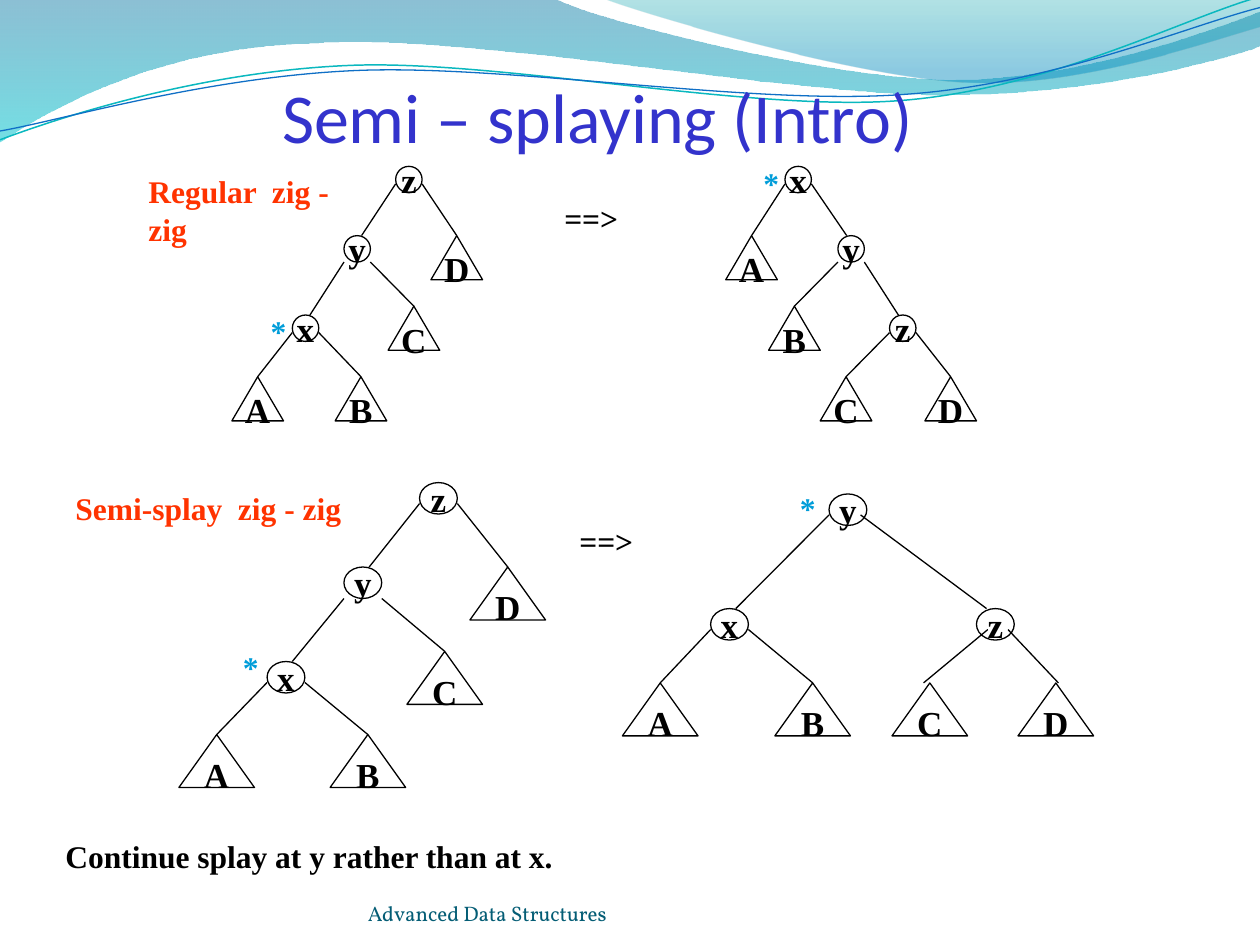
from lxml import etree
from pptx import Presentation, util as u
from pptx.dml.color import RGBColor
from pptx.enum import shapes, text
from pptx.oxml import ns

INK = dict(black="000000", title="3333CC", red="FF3300", star="009DD9",
           foot="045D75", teal="0AB8BF", blue="0F6FC6")
SERIF = "Times New Roman"

# Each outline is a start point, then steps: one point is a line, three a curve.
BANDS = [
    ([[(0, 0)], [(4.4, -.01)],
      [(4.76, .17), (6.64, .63), (7.58, .63)],
      [(8.53, .63), (9.58, .26), (10, .09)], [(10.01, .36)],
      [(9.83, .44), (8.7, .76), (7.46, .75)],
      [(6.22, .75), (3.82, .28), (2.57, .34)],
      [(1.29, .36), (.46, .83), (-.01, 1.13)], [(0, 0)]],
     [(0, "0074A1", 45), (100, "00C6CF", 55)]),
    ([[(4.79, -.01)],
      [(5.09, .11), (6.82, .62), (7.69, .65)],
      [(8.56, .69), (9.61, .32), (10, .21)], [(10, 0)], [(4.79, -.01)]],
     [(0, "00A1A9", 30), (80, "008BBF", 45)]),
]
WAVES = [
    ([[(0, 1.11)],
      [(.48, .93), (1.58, .57), (2.77, .52)],
      [(3.95, .47), (5.93, .89), (7.13, .8)],
      [(8.33, .71), (9.38, .15), (9.98, -.02)]], "teal", .85),
    ([[(0, 1.04)],
      [(.47, .96), (1.64, .61), (2.83, .56)],
      [(4.03, .51), (5.97, .84), (7.17, .75)],
      [(8.36, .67), (9.41, .21), (10, .06)]], "blue", .75),
]

SMALL = dict(node=(.21, .21), leaf=(.41, .35))
LARGE = dict(node=(.3, .25), leaf=(.6, .42))
# Node: name, left, top, parent and, if the edge is off the rule,
# the shifts of its start and end.
TREES = [
    (SMALL, [("z", 3.14, 1.32, ""), ("y", 2.73, 1.87, "z"),
             ("x", 2.32, 2.5, "y"), ("A", 1.84, 2.99, "x"),
             ("B", 2.66, 2.99, "x"), ("C", 3.08, 2.43, "y"),
             ("D", 3.42, 1.87, "z")]),
    (SMALL, [("x", 6.23, 1.32, ""), ("y", 6.65, 1.87, "x"),
             ("z", 7.06, 2.5, "y"), ("A", 5.76, 1.87, "x"),
             ("B", 6.1, 2.43, "y"), ("C", 6.51, 2.99, "z"),
             ("D", 7.34, 2.99, "z")]),
    (LARGE, [("z", 3.33, 3.83, ""), ("y", 2.73, 4.5, "z"),
             ("x", 2.12, 5.25, "y"), ("A", 1.42, 5.83, "x"),
             ("B", 2.62, 5.83, "x"), ("C", 3.23, 5.17, "y"),
             ("D", 3.73, 4.5, "z")]),
    (LARGE, [("y", 6.58, 3.92, ""), ("x", 5.64, 4.83, "y"),
             ("z", 7.75, 4.83, "y", -.05, -.02), ("A", 4.94, 5.42, "x"),
             ("B", 6.15, 5.42, "x"), ("C", 7.08, 5.42, "z", .09, -.05),
             ("D", 8.08, 5.42, "z", -.05, .02)]),
]

LABELS = [
    ("Regular  zig - zig", (1.08, 1.32, 1.65, .7), "red"),
    ("Semi-splay  zig - zig", (.5, 3.83, 2.42, .4), "red"),
    ("==>", (4.38, 1.53, .69, .9), "black"),
    ("==>", (4.5, 4.09, 1.01, .5), "black"),
    ("*", (2.05, 2.43, .28, .5), "star"),
    ("*", (5.96, 1.25, .27, .5), "star"),
    ("*", (1.83, 5.09, .33, .5), "star"),
    ("*", (6.25, 3.83, .33, .5), "star"),
    ("Continue splay at y rather than at x.", (.42, 6.59, 6.08, .5), "black"),
]


def cm(*vals):
    """Turn inches into lengths."""
    return [u.Cm(v * 2.54) for v in vals]


def rgb(name):
    return RGBColor.from_string(INK[name])


def write(shape, words, size=18, font=SERIF, ink="black", bold=True,
          align=text.PP_ALIGN.LEFT, anchor=text.MSO_ANCHOR.TOP,
          wrap=True, pad=None):
    frame = shape.text_frame
    frame.word_wrap, frame.vertical_anchor = wrap, anchor
    if pad:
        (frame.margin_left, frame.margin_top,
         frame.margin_right, frame.margin_bottom) = cm(*pad)
    para = frame.paragraphs[0]
    para.alignment = align
    run = para.add_run()
    run.text = words
    run.font.size, run.font.name, run.font.bold = u.Pt(size), font, bold
    run.font.color.rgb = rgb(ink)


def outline(slide, steps, close):
    """Draw straight legs through all points, then bend each run of three."""
    pts = [cm(*p) for step in steps for p in step]
    pen = slide.shapes.build_freeform(*pts[0], scale=1.0)
    pen.add_line_segments(pts[1:], close=close)
    shape = pen.convert_to_shape()
    shape.shadow.inherit = False
    legs = iter(list(shape.element.iter(ns.qn("a:lnTo"))))
    for step in steps[1:]:
        group = [next(legs) for _ in step]
        if len(group) == 3:
            bend = etree.Element(ns.qn("a:cubicBezTo"))
            group[0].addprevious(bend)
            for leg in group:
                bend.append(leg[0])
                leg.getparent().remove(leg)
    return shape


def shade(shape, stops):
    """Fill from top to bottom with see-through colours."""
    shape.fill.background()
    old = shape.element.spPr.find(ns.qn("a:noFill"))
    grad = etree.Element(ns.qn("a:gradFill"), rotWithShape="1")
    group = etree.SubElement(grad, ns.qn("a:gsLst"))
    for pos, hue, alpha in stops:
        stop = etree.SubElement(group, ns.qn("a:gs"), pos=str(pos * 1000))
        tone = etree.SubElement(stop, ns.qn("a:srgbClr"), val=hue)
        etree.SubElement(tone, ns.qn("a:alpha"), val=str(alpha * 1000))
    etree.SubElement(grad, ns.qn("a:lin"), ang="5400000", scaled="0")
    old.getparent().replace(old, grad)


def stroke(shape, ink="black", width=.75):
    shape.line.color.rgb, shape.line.width = rgb(ink), u.Pt(width)


def edge(slide, start, end):
    line = slide.shapes.add_connector(
        shapes.MSO_CONNECTOR.STRAIGHT, *cm(*start, *end))
    stroke(line)
    etree.SubElement(line.element.spPr, ns.qn("a:effectLst"))


def tree(slide, sizes, nodes):
    spots = {node[0]: node for node in nodes}
    inner = {node[3] for node in nodes}
    nw, nh = sizes["node"]
    for name, left, top, up, *shift in nodes:
        leaf = name not in inner
        w, h = sizes["leaf" if leaf else "node"]
        kind = shapes.MSO_SHAPE.ISOSCELES_TRIANGLE if leaf \
            else shapes.MSO_SHAPE.OVAL
        shape = slide.shapes.add_shape(kind, *cm(left, top, w, h))
        shape.shadow.inherit = False
        shape.fill.background()
        stroke(shape)
        write(shape, name, size=20, align=text.PP_ALIGN.CENTER,
              anchor=text.MSO_ANCHOR.MIDDLE, wrap=False)
        if not up:
            continue
        _, px, py, above = spots[up][:4]
        right = left > px
        out, end = shift or (0, 0)
        # A middle node with a round child sends its edges from its foot.
        mid = above and any(n[3] == up and n[0] in inner for n in nodes)
        lean = 0 if leaf else (-w if right else w) / 6
        edge(slide,
             (px + nw * right + out, py + nh * (1 if mid else 2 / 3)),
             (left + w / 2 + lean + end, top))


def main():
    deck = Presentation()
    deck.slide_width, deck.slide_height = cm(10, 7.5)
    slide = deck.slides.add_slide(deck.slide_layouts[5])

    for steps, stops in BANDS:
        band = outline(slide, steps, True)
        shade(band, stops)
        band.line.fill.background()
    for steps, ink, width in WAVES:
        wave = outline(slide, steps, False)
        wave.fill.background()
        stroke(wave, ink, width)

    title = slide.shapes.title
    slide.shapes.element.append(title.element)
    title.left, title.top, title.width, title.height = cm(.49, 0, 8.5, 1.25)
    write(title, "Semi – splaying (Intro)", size=40, font="Calibri",
          ink="title", bold=False, align=text.PP_ALIGN.CENTER,
          anchor=text.MSO_ANCHOR.BOTTOM, pad=(0, .05, 0, 0))

    for sizes, nodes in TREES:
        tree(slide, sizes, nodes)
    for words, box, ink in LABELS:
        write(slide.shapes.add_textbox(*cm(*box)), words, ink=ink)
    write(slide.shapes.add_textbox(*cm(2.92, 6.95, 3.67, .4)),
          "Advanced Data Structures", size=12, font="Vollkorn", ink="foot",
          bold=False, anchor=text.MSO_ANCHOR.BOTTOM, pad=(0, 0, 0, 0))
    deck.save("out.pptx")


if __name__ == "__main__":
    main()
